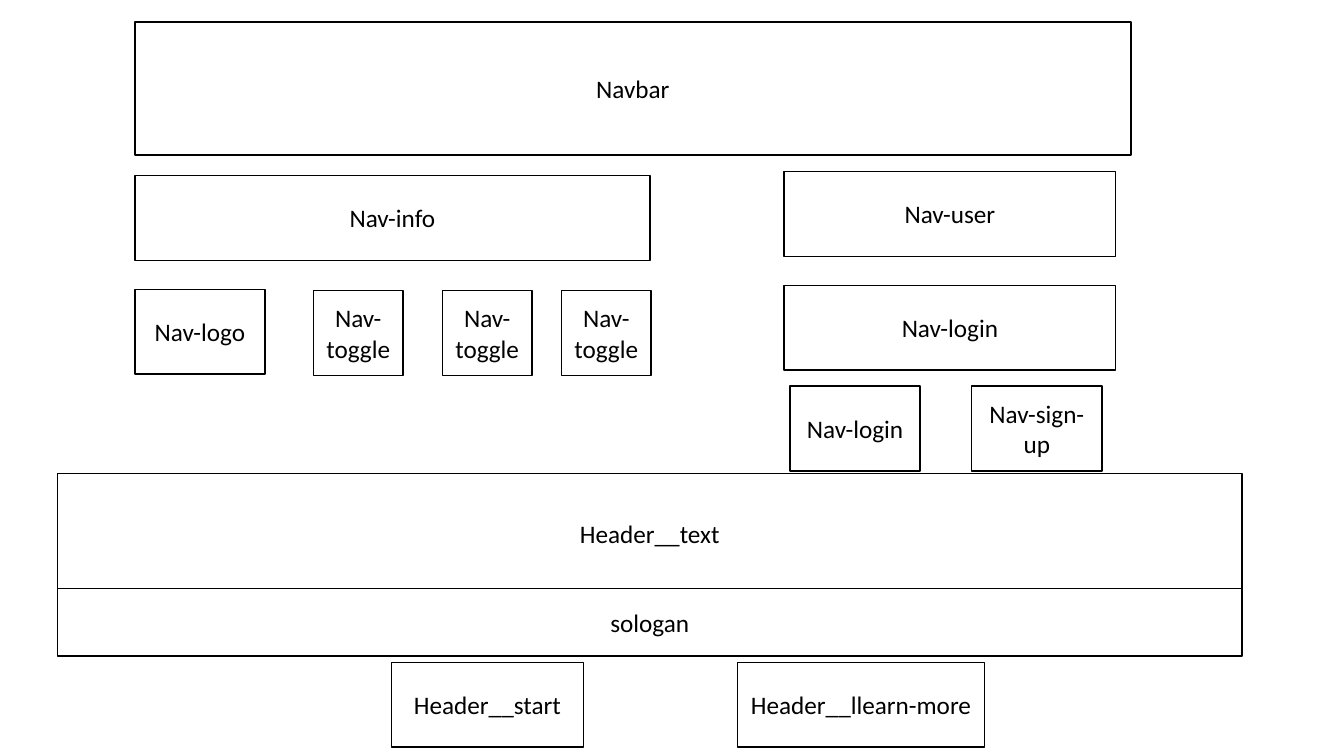
from pptx import Presentation
from pptx.dml.color import RGBColor
from pptx.enum.shapes import MSO_SHAPE
from pptx.enum.text import MSO_ANCHOR, PP_ALIGN
from pptx.util import Cm, Pt

RECTANGLE = MSO_SHAPE.RECTANGLE
MIDDLE = MSO_ANCHOR.MIDDLE
CENTER = PP_ALIGN.CENTER

FONT = "Calibri"
BLACK = "000000"
WHITE = "FFFFFF"

NAV_LEFT = 3.4
USER_LEFT = 19.76
USER_WIDTH = 8.36
HEADER_LEFT = 1.45
HEADER_WIDTH = 29.85
BUTTON_TOP = 16.69
BOX_HEIGHT = 2.14
SMALL_WIDTH = 3.28
TOGGLE_WIDTH = 2.26
TOGGLE_LEFTS = (7.9, 11.15, 14.15)


def color(hex_string):
    """Return the colour for a hex string."""
    return RGBColor.from_string(hex_string)


def add_box(slide, label, left, top, width, height=BOX_HEIGHT):
    """Add an outlined rectangle with a centred label, measured in centimetres."""
    shape = slide.shapes.add_shape(RECTANGLE, Cm(left), Cm(top), Cm(width), Cm(height))
    shape.shadow.inherit = False
    shape.fill.solid()
    shape.fill.fore_color.rgb = color(WHITE)
    shape.line.color.rgb = color(BLACK)
    shape.line.width = Pt(1)
    text_frame = shape.text_frame
    text_frame.text = label
    text_frame.word_wrap = True
    text_frame.vertical_anchor = MIDDLE
    paragraph = text_frame.paragraphs[0]
    paragraph.alignment = CENTER
    font = paragraph.runs[0].font
    font.name = FONT
    font.size = Pt(18)
    font.color.rgb = color(BLACK)


def add_navbar(slide):
    """Add the navigation bar with its info and user groups."""
    add_box(slide, "Navbar", NAV_LEFT, 0.56, 25.1, 3.35)
    add_box(slide, "Nav-info", NAV_LEFT, 4.42, 12.98)
    add_box(slide, "Nav-logo", NAV_LEFT, 7.29, SMALL_WIDTH)
    for left in TOGGLE_LEFTS:
        add_box(slide, "Nav-toggle", left, 7.32, TOGGLE_WIDTH)
    add_box(slide, "Nav-user", USER_LEFT, 4.32, USER_WIDTH)
    add_box(slide, "Nav-login", USER_LEFT, 7.19, USER_WIDTH)
    add_box(slide, "Nav-login", 19.91, 9.73, SMALL_WIDTH)
    add_box(slide, "Nav-sign-up", 24.49, 9.73, SMALL_WIDTH)


def add_header(slide):
    """Add the header text, the slogan and the two buttons."""
    add_box(slide, "Header__text", HEADER_LEFT, 11.94, HEADER_WIDTH, 3.02)
    add_box(slide, "sologan", HEADER_LEFT, 14.83, HEADER_WIDTH, 1.7)
    add_box(slide, "Header__start", 9.86, BUTTON_TOP, 4.85)
    add_box(slide, "Header__llearn-more", 18.59, BUTTON_TOP, 6.22)


def main():
    """Build the slide and save the presentation."""
    presentation = Presentation()
    presentation.slide_width = Cm(33.87)
    presentation.slide_height = Cm(19.05)
    slide = presentation.slides.add_slide(presentation.slide_layouts[6])
    add_header(slide)
    add_navbar(slide)
    presentation.save("out.pptx")


if __name__ == "__main__":
    main()
